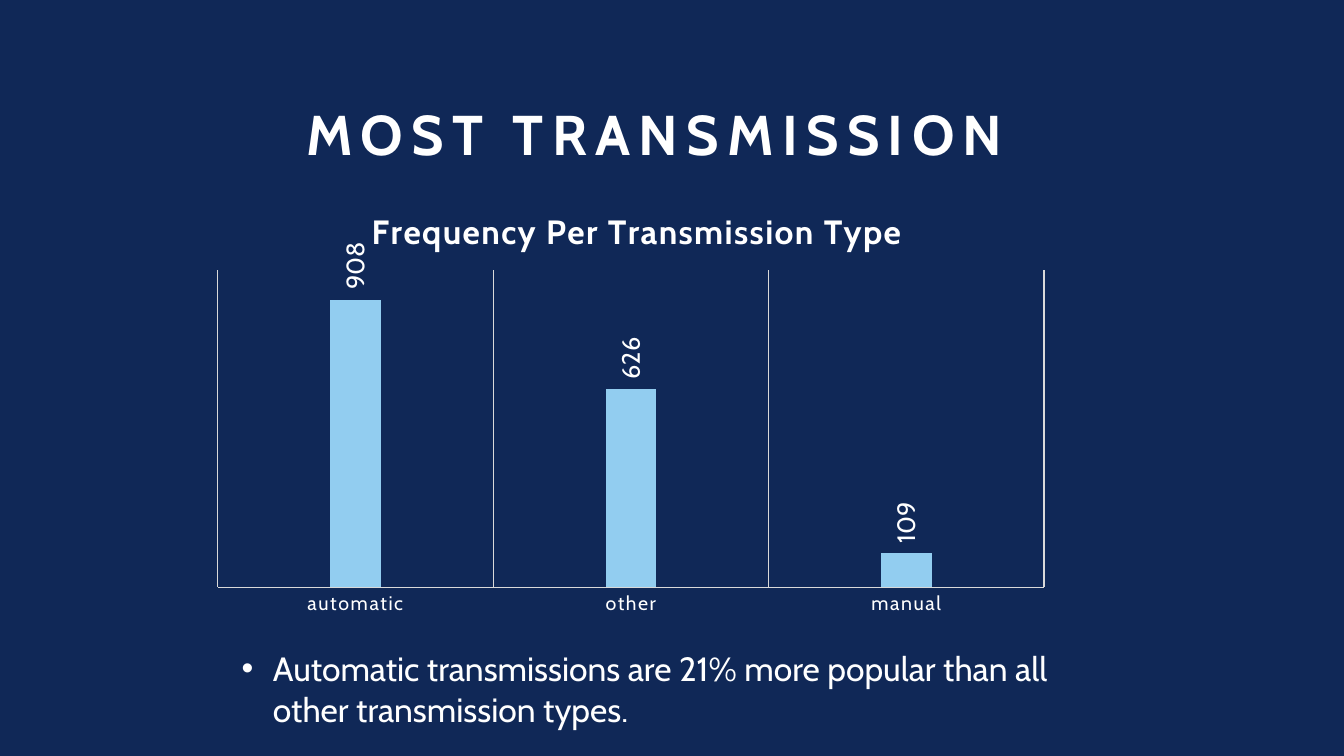
from lxml.etree import SubElement
from pptx import Presentation
from pptx.chart.data import CategoryChartData
from pptx.dml.color import RGBColor
from pptx.enum.chart import XL_CHART_TYPE, XL_LABEL_POSITION, XL_TICK_MARK
from pptx.enum.text import MSO_ANCHOR, PP_ALIGN
from pptx.oxml import parse_xml
from pptx.oxml.ns import nsdecls, qn
from pptx.util import Cm, Pt

NAVY, WHITE, SKY, GREY = "102857", "FFFFFF", "92CDF0", "D9D9D9"
COUNT = '_(* #,##0_);_(* \\(#,##0\\);_(* "-"??_);_(@_)'


def paint(obj, tone, **form):
    """Colour a fill, line or font and set its other format values."""
    if hasattr(obj, "solid"):
        obj.solid()
    color = obj.fore_color if hasattr(obj, "fore_color") else obj.color
    color.rgb = RGBColor.from_string(tone)
    gap = form.pop("gap", None)
    for key, val in form.items():
        setattr(obj, key, val)
    if gap:
        obj._rPr.set("spc", str(gap * 100))


def place(part, index, **spots):
    """Give a chart part a manual layout."""
    for old in part.findall(qn("c:layout")):
        part.remove(old)
    layout = parse_xml(f"<c:layout {nsdecls('c')}><c:manualLayout/></c:layout>")
    for key, val in spots.items():
        SubElement(layout[0], qn(f"c:{key}")).set("val", str(val))
    part.insert(index, layout)


deck = Presentation()
deck.slide_width, deck.slide_height = Cm(33.87), Cm(19.05)
slide = deck.slides.add_slide(deck.slide_layouts[6])
paint(slide.background.fill, NAVY)

# Heading and bullet text
texts = [
    ("MOST TRANSMISSION", (4.17, 1.37, 24.66, 2.97),
     dict(size=Pt(40), bold=True, gap=6),
     dict(alignment=PP_ALIGN.CENTER, line_spacing=0.9), MSO_ANCHOR.BOTTOM),
    ("Automatic transmissions are 21% more popular than all other "
     "transmission types.", (5.84, 16.21, 21.11, 2.31),
     dict(size=Pt(24)), {}, MSO_ANCHOR.TOP),
]
for words, spot, form, lines, anchor in texts:
    frame = slide.shapes.add_textbox(*map(Cm, spot)).text_frame
    frame.word_wrap = True
    frame.vertical_anchor = anchor
    para = frame.paragraphs[0]
    run = para.add_run()
    run.text = words
    paint(run.font, WHITE, name="Cabin", **form)
    for key, val in lines.items():
        setattr(para, key, val)

# Bullet on the last paragraph
props = para._p.get_or_add_pPr()
props.set("marL", str(Cm(0.79)))
props.set("indent", str(-Cm(0.79)))
SubElement(props, qn("a:buFont")).set("typeface", "Arial")
SubElement(props, qn("a:buChar")).set("char", "•")

# Column chart
data = CategoryChartData()
data.categories = ["automatic", "other", "manual"]
data.add_series("Series 1", (908, 626, 109))
spot = map(Cm, (5.05, 4.5, 21.92, 11.58))
chart = slide.shapes.add_chart(XL_CHART_TYPE.COLUMN_CLUSTERED, *spot, data).chart
chart.has_legend = False
chart.font.name, chart.font.size = "Cabin", Pt(10)

# Chart title
title = chart.chart_title
run = title.text_frame.paragraphs[0].add_run()
run.text = "Frequency Per Transmission Type"
paint(run.font, WHITE, name="Cabin", size=Pt(24), bold=True, gap=1)
place(title._element, 1, xMode="edge", yMode="edge", x=0.19, y=0.05)

# Axes
cats, vals = chart.category_axis, chart.value_axis
cats.major_tick_mark = XL_TICK_MARK.NONE
cats.has_major_gridlines = True
for line in (cats.format.line, cats.major_gridlines.format.line):
    paint(line, GREY, width=Pt(0.75))
paint(cats.tick_labels.font, WHITE, name="Cabin", size=Pt(14), gap=1)
vals.visible = vals.has_major_gridlines = False
vals.minimum_scale, vals.maximum_scale = 0, 1000

# Columns and upright labels
plot = chart.plots[0]
plot.gap_width, plot.overlap, plot.vary_by_categories = 444, -90, False
paint(plot.series[0].format.fill, SKY)
plot.has_data_labels = True
labels = plot.data_labels
form = dict(show_value=True, position=XL_LABEL_POSITION.OUTSIDE_END,
            number_format=COUNT, number_format_is_linked=False)
for key, val in form.items():
    setattr(labels, key, val)
paint(labels.font, WHITE, name="Cabin", size=Pt(18))
body = labels._element.find(qn("c:txPr")).find(qn("a:bodyPr"))
body.set("rot", "-5400000")
body.set("vert", "horz")

area = chart._chartSpace.chart.plotArea
place(area, 0, layoutTarget="inner", xMode="edge", yMode="edge",
      x=0.02, y=0.2, w=0.95, h=0.69)

deck.save("out.pptx")
